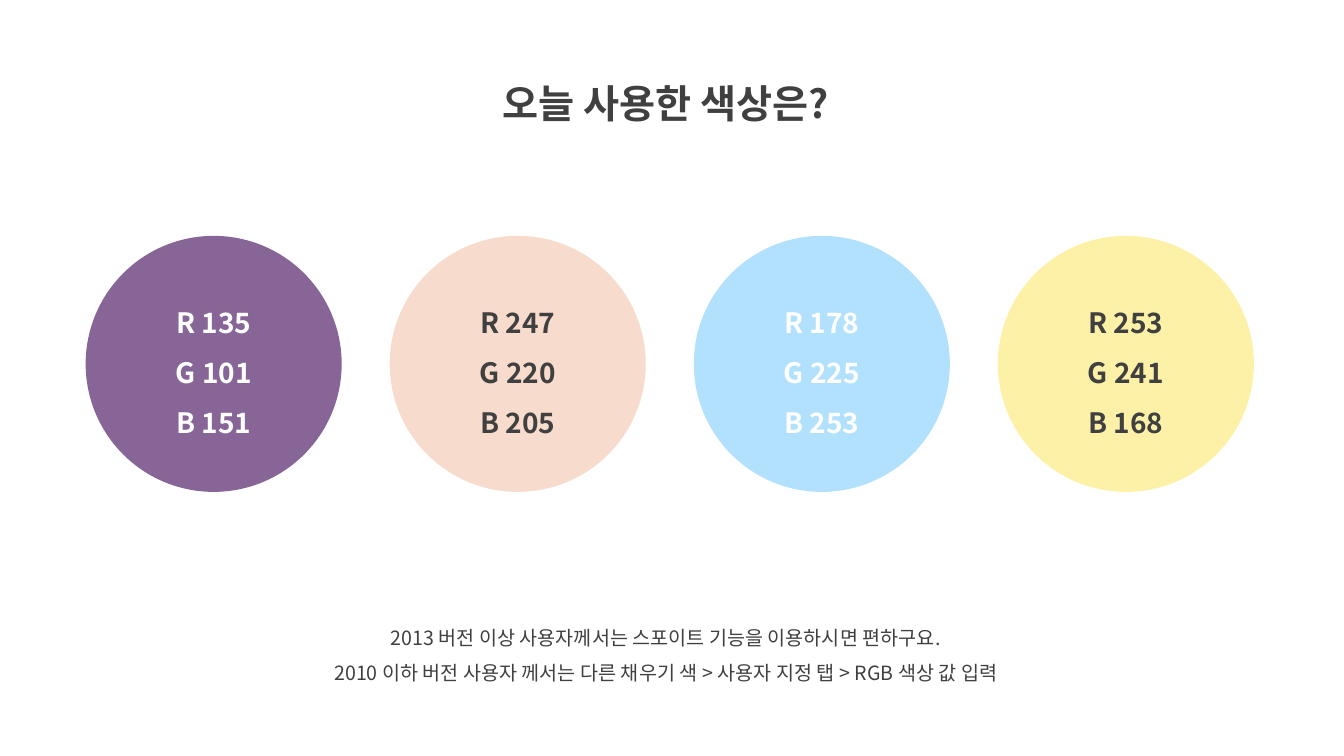
"""Build a slide that shows the four colours of a palette with their RGB values."""
from lxml.etree import SubElement
from pptx import Presentation
from pptx.dml.color import RGBColor
from pptx.enum.shapes import MSO_SHAPE
from pptx.enum.text import MSO_ANCHOR, MSO_AUTO_SIZE, PP_ALIGN
from pptx.oxml.ns import qn
from pptx.util import Pt

FONT = "Noto Sans CJK KR"
WHITE = RGBColor(255, 255, 255)
CHARCOAL = RGBColor(64, 64, 64)
PURPLE = RGBColor(135, 101, 151)
PEACH = RGBColor(247, 220, 205)
SKY = RGBColor(178, 225, 253)
YELLOW = RGBColor(253, 241, 168)

CIRCLE_LEFT, CIRCLE_TOP, CIRCLE_SIZE, CIRCLE_STEP = 61.2, 168.5, 182.9, 217.2


def write_lines(frame, lines, size, color, bold):
    """Fill a text frame with centred lines in one format."""
    frame.word_wrap = True
    for index, line in enumerate(lines):
        para = frame.add_paragraph() if index else frame.paragraphs[0]
        para.alignment = PP_ALIGN.CENTER
        para.line_spacing = 1.5
        span = para.add_run()
        span.text = line
        span.font.color.rgb = color
        for name, value in {"name": FONT, "size": Pt(size), "bold": bold}.items():
            setattr(span.font, name, value)
        SubElement(span._r.get_or_add_rPr(), qn("a:ea"), typeface=FONT)


deck = Presentation()
deck.slide_width, deck.slide_height = Pt(960), Pt(540)
page = deck.slides.add_slide(deck.slide_layouts[6])

captions = [
    ((308.9, 36, 333.4, 51.8), ["오늘 사용한 색상은?"], 28, True),
    (
        (187.9, 434.9, 575.3, 58.3),
        [
            "2013 버전 이상 사용자께서는 스포이트 기능을 이용하시면 편하구요.",
            "2010 이하 버전 사용자 께서는 다른 채우기 색 > 사용자 지정 탭 > RGB 색상 값 입력",
        ],
        14,
        False,
    ),
]
for place, lines, size, bold in captions:
    box = page.shapes.add_textbox(*map(Pt, place))
    write_lines(box.text_frame, lines, size, CHARCOAL, bold)
    box.text_frame.auto_size = MSO_AUTO_SIZE.SHAPE_TO_FIT_TEXT

swatches = [(PURPLE, WHITE), (PEACH, CHARCOAL), (SKY, WHITE), (YELLOW, CHARCOAL)]
for column, (fill_color, text_color) in enumerate(swatches):
    circle = page.shapes.add_shape(
        MSO_SHAPE.OVAL,
        Pt(CIRCLE_LEFT + column * CIRCLE_STEP),
        Pt(CIRCLE_TOP),
        Pt(CIRCLE_SIZE),
        Pt(CIRCLE_SIZE),
    )
    circle.shadow.inherit = False
    circle.fill.solid()
    circle.fill.fore_color.rgb = fill_color
    circle.line.fill.background()
    circle.text_frame.vertical_anchor = MSO_ANCHOR.MIDDLE
    channels = [f"{letter} {value}" for letter, value in zip("RGB", fill_color)]
    write_lines(circle.text_frame, channels, 20, text_color, True)

deck.save("out.pptx")
